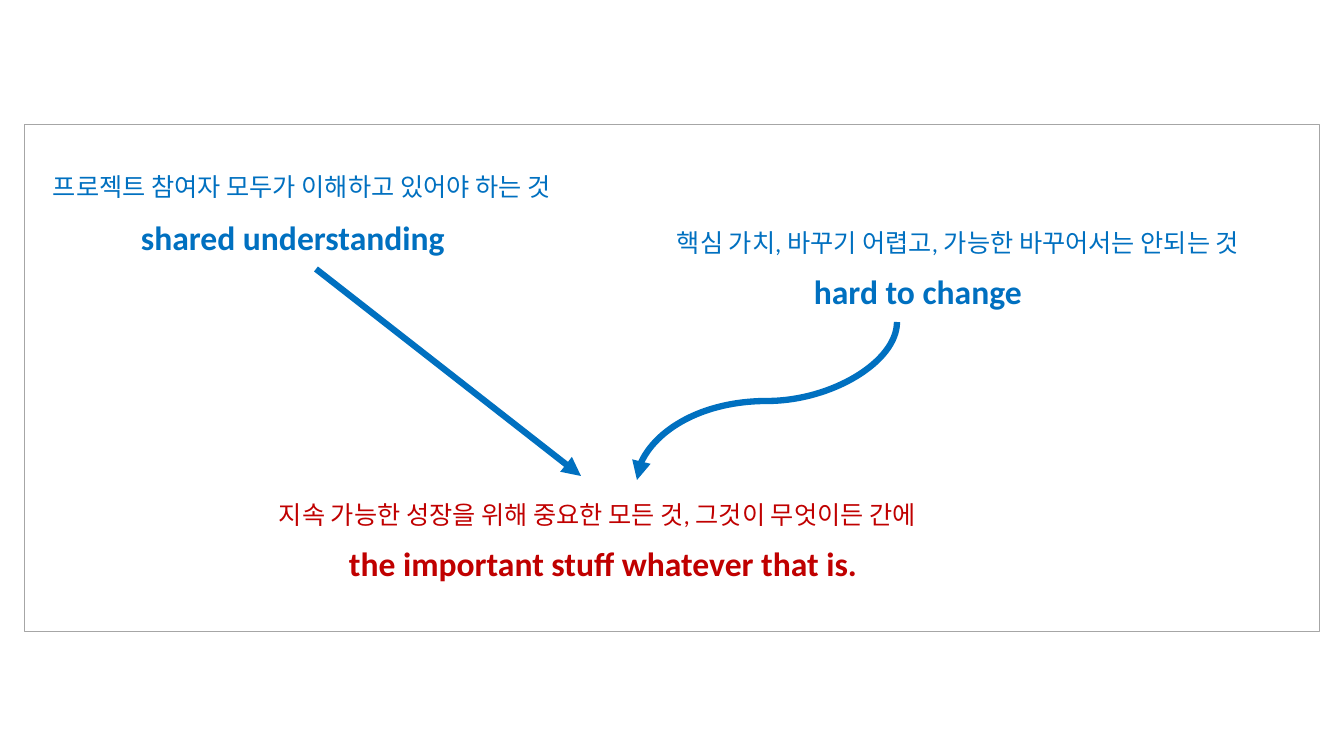
from lxml.etree import SubElement
from pptx import Presentation
from pptx.dml.color import RGBColor
from pptx.enum.shapes import MSO_CONNECTOR, MSO_SHAPE
from pptx.enum.text import MSO_AUTO_SIZE
from pptx.oxml.ns import qn
from pptx.util import Pt

EMU_PER_PX = 914400 / 100.8
BLUE, RED, GRAY = "0070C0", "C00000", "A6A6A6"


def px(*lengths):
    return [round(n * EMU_PER_PX) for n in lengths]


def rgb(color):
    return RGBColor.from_string(color)


prs = Presentation()
prs.slide_width, prs.slide_height = px(1344, 756)
slide = prs.slides.add_slide(prs.slide_layouts[6])
shapes = slide.shapes.add_group_shape().shapes

# Statements: each Korean explanation and its English phrase
statements = [
    (43, 166, 564, 40, "프로젝트 참여자 모두가 이해하고 있어야 하는 것", 18, BLUE),
    (131, 212, 328, 50, "shared understanding", 24, BLUE),
    (667, 222, 634, 40, "핵심 가치, 바꾸기 어렵고, 가능한 바꾸어서는 안되는 것", 18, BLUE),
    (804, 266, 230, 50, "hard to change", 24, BLUE),
    (339, 538, 535, 50, "the important stuff whatever that is.", 24, RED),
    (269, 494, 716, 40, "지속 가능한 성장을 위해 중요한 모든 것, 그것이 무엇이든 간에", 18, RED),
]
for x, y, w, h, text, size, color in statements:
    tf = shapes.add_textbox(*px(x, y, w, h)).text_frame
    tf.word_wrap = False
    tf.auto_size = MSO_AUTO_SIZE.SHAPE_TO_FIT_TEXT
    r = tf.paragraphs[0].add_run()
    r.text = text
    r.font.name = "Calibri"
    r.font.size = Pt(size)
    r.font.bold = size == 24
    r.font.color.rgb = rgb(color)

# Arrows to the conclusion; the curve is turned a quarter to leave downwards
arrows = [
    (MSO_CONNECTOR.STRAIGHT, 316, 269, 581, 476, 0),
    (MSO_CONNECTOR.CURVE, 688, 271, 846, 531, 90),
]
for kind, x1, y1, x2, y2, angle in arrows:
    arrow = shapes.add_connector(kind, *px(x1, y1, x2, y2))
    arrow.line.color.rgb = rgb(BLUE)
    arrow.line.width = Pt(4.5)
    sp_pr = arrow.line._get_or_add_ln().getparent()
    SubElement(sp_pr.find(qn("a:ln")), qn("a:tailEnd"), type="triangle")
    SubElement(sp_pr, qn("a:effectLst"))
    if angle:
        sp_pr.find(qn("a:xfrm")).set("rot", str(angle * 60000))

# Frame around the diagram
frame = shapes.add_shape(MSO_SHAPE.RECTANGLE, *px(24, 124, 1295, 507))
frame.shadow.inherit = False
frame.fill.background()
frame.line.color.rgb = rgb(GRAY)
frame.line.width = Pt(0.5)

prs.save("out.pptx")
